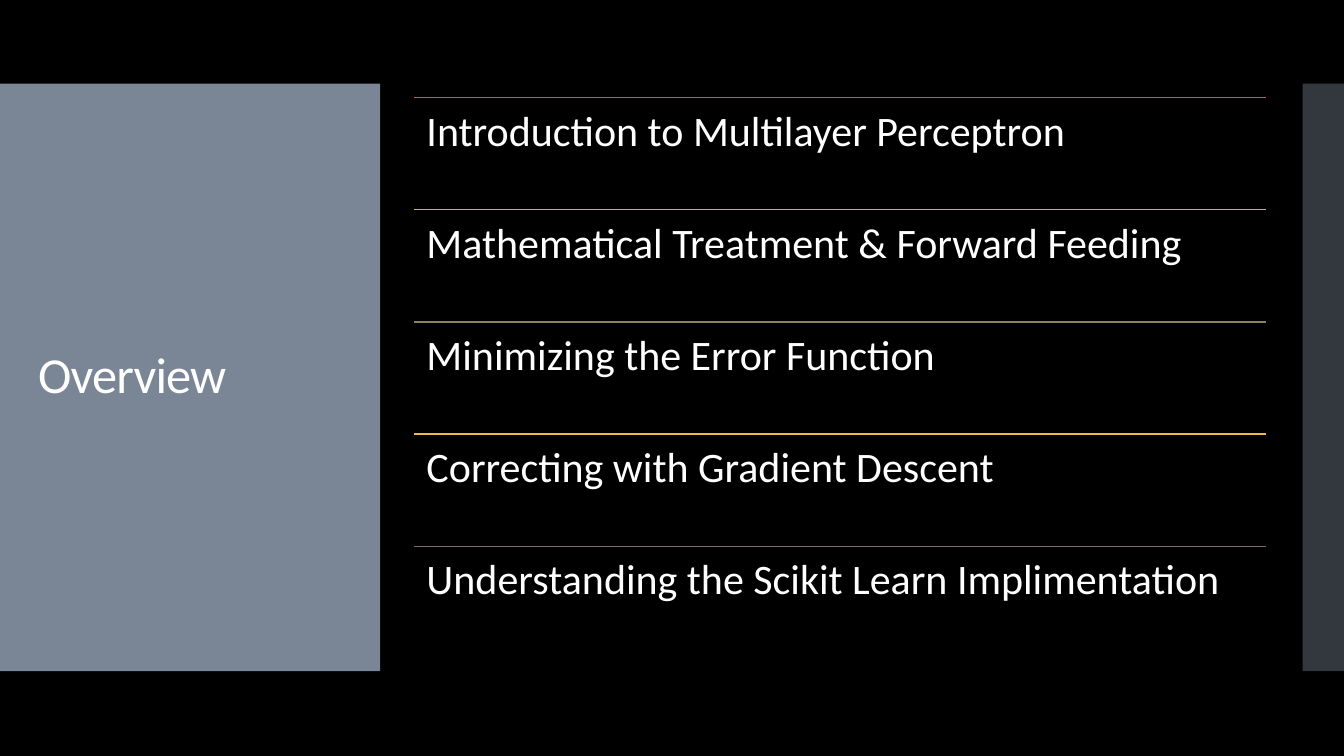
from lxml import etree
from pptx import Presentation
from pptx.dml.color import RGBColor
from pptx.enum.shapes import MSO_CONNECTOR, MSO_SHAPE
from pptx.enum.text import MSO_ANCHOR, PP_ALIGN
from pptx.oxml.ns import qn
from pptx.util import Inches, Pt

LINE = MSO_CONNECTOR.STRAIGHT
RECT = MSO_SHAPE.RECTANGLE
LEFT = PP_ALIGN.LEFT
TOP = MSO_ANCHOR.TOP
MIDDLE = MSO_ANCHOR.MIDDLE

COLORS = {
    "back": "000000",
    "panel": "818E9F",
    "text": "FFFFFF",
    "orange": "D26400",
    "lime": "C3BA45",
    "olive": "8A8552",
    "gold": "F3B843",
    "mauve": "786C71",
}
TOPICS = [
    ("Introduction to Multilayer Perceptron", "orange"),
    ("Mathematical Treatment & Forward Feeding", "lime"),
    ("Minimizing the Error Function", "olive"),
    ("Correcting with Gradient Descent", "gold"),
    ("Understanding the Scikit Learn Implimentation", "mauve"),
]
LIST_X, LIST_Y, LIST_W, LIST_H = 4.11, 0.97, 8.45, 5.56
ROW_H = LIST_H / len(TOPICS)
BAND_Y, BAND_H = 0.83, 5.83


def color(name):
    """Return the named colour."""
    return RGBColor.from_string(COLORS[name])


def apply(item, values):
    """Set each attribute of item from a dict."""
    for key, value in values.items():
        setattr(item, key, value)


def add_panel(slide, left, width, alpha):
    """Add a side panel with the given opacity in percent."""
    panel = slide.shapes.add_shape(
        RECT, Inches(left), Inches(BAND_Y), Inches(width), Inches(BAND_H))
    panel.shadow.inherit = False
    panel.line.fill.background()
    panel.fill.solid()
    panel.fill.fore_color.rgb = color("panel")
    tone = panel._element.spPr.find(qn("a:solidFill"))[0]
    etree.SubElement(tone, qn("a:alpha"), val=str(alpha * 1000))


def add_text(slide, text, box, size, inset, anchor):
    """Add a one-paragraph text box and return its run."""
    frame = slide.shapes.add_textbox(*map(Inches, box)).text_frame
    sides = ("left", "top", "right", "bottom")
    apply(frame, {f"margin_{side}": Inches(gap)
                  for side, gap in zip(sides, inset)})
    apply(frame, {"word_wrap": True, "vertical_anchor": anchor})
    para = frame.paragraphs[0]
    apply(para, {"alignment": LEFT, "line_spacing": 0.9})
    run = para.add_run()
    run.text = text
    apply(run.font, {"name": "Calibri", "size": Pt(size)})
    run.font.color.rgb = color("text")
    return run


def add_rule(slide, top, name):
    """Add a thin rule across the list."""
    rule = slide.shapes.add_connector(
        LINE, Inches(LIST_X), Inches(top),
        Inches(LIST_X + LIST_W), Inches(top))
    rule.line.color.rgb = color(name)
    rule.line.width = Pt(0.85)
    etree.SubElement(rule._element.spPr, qn("a:effectLst"))


def main():
    """Build the overview slide and save it."""
    deck = Presentation()
    apply(deck, {"slide_width": Inches(13.33), "slide_height": Inches(7.5)})
    slide = deck.slides.add_slide(deck.slide_layouts[6])
    slide.background.fill.solid()
    slide.background.fill.fore_color.rgb = color("back")

    add_panel(slide, 0, 3.77, 95)
    add_panel(slide, 12.92, 0.42, 40)
    title = add_text(slide, "Overview", (0.28, 1.23, 3.22, 5.03), 36,
                     (0.1, 0.05, 0.1, 0.05), MIDDLE)
    title._r.get_or_add_rPr().set("spc", "-60")

    for row, (topic, name) in enumerate(TOPICS):
        top = LIST_Y + row * ROW_H
        add_rule(slide, top, name)
        add_text(slide, topic, (LIST_X, top, LIST_W, ROW_H), 30,
                 (0.12,) * 4, TOP)
    deck.save("out.pptx")


main()
